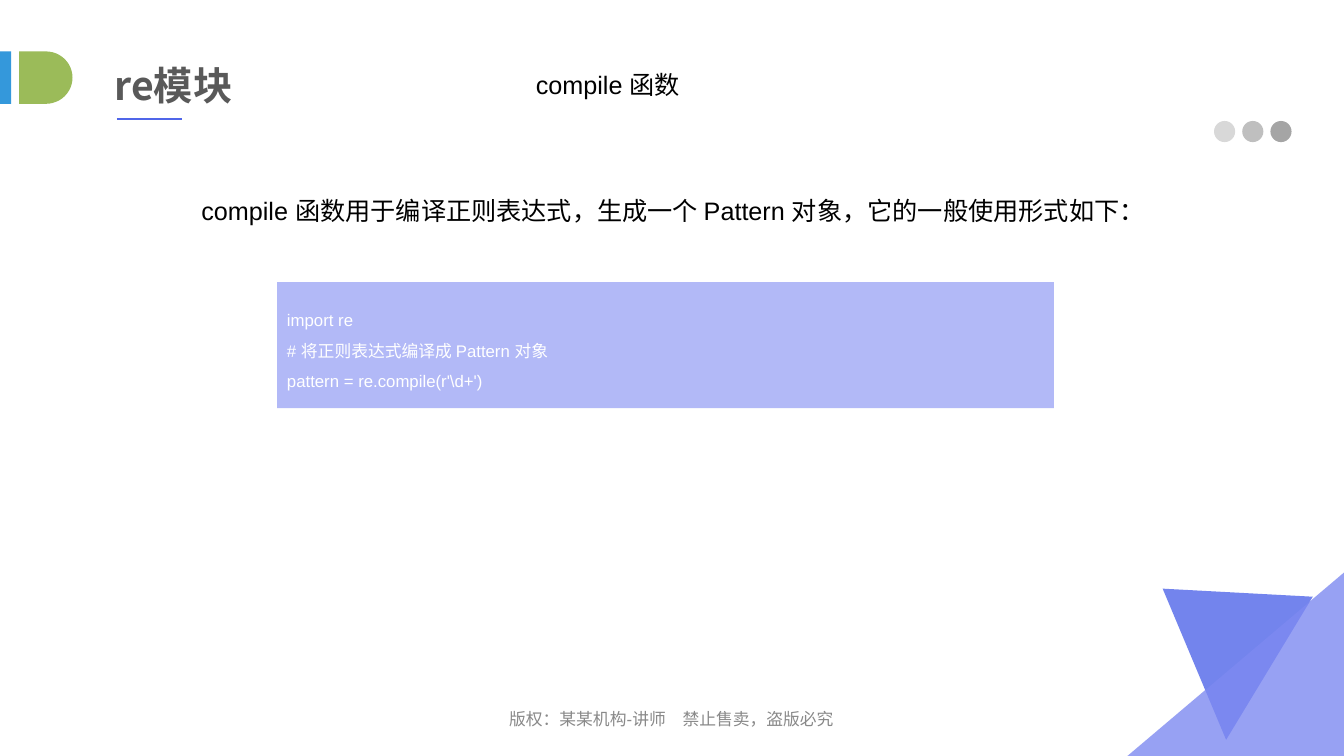
from lxml.etree import SubElement
from pptx import Presentation
from pptx.dml.color import RGBColor
from pptx.enum.shapes import MSO_CONNECTOR, MSO_SHAPE
from pptx.enum.text import MSO_ANCHOR, PP_ALIGN
from pptx.oxml.ns import qn
from pptx.util import Inches, Pt

COLORS = {
    "white": "FFFFFF", "black": "000000", "title": "595959", "footer": "898989",
    "blue": "3498DB", "green": "9BBB59", "accent": "5066E9", "corner": "7E8AF1",
    "code": "B2B9F7", "dot_light": "D8D8D8", "dot_mid": "BFBFBF", "dot_dark": "A5A5A5",
}
CJK_FONT = "Noto Sans CJK SC"

TRIANGLES = [
    ([(13.03, 5.92), (12.17, 7.34), (11.54, 5.84)], "accent"),
    ([(13.34, 7.5), (11.19, 7.5), (13.34, 5.68)], "corner"),
]
TRIANGLE_OPACITY = 80
TITLE_MARKS = [
    (MSO_SHAPE.RECTANGLE, (0, 0.51, 0.11, 0.52), "blue"),
    (MSO_SHAPE.FLOWCHART_DELAY, (0.19, 0.51, 0.53, 0.52), "green"),
]
DOT_COLORS = ["dot_light", "dot_mid", "dot_dark"]
DOT_LEFT, DOT_TOP, DOT_SIZE, DOT_STEP = 12.05, 1.2, 0.21, 0.28
UNDERLINE = (1.16, 1.18, 1.81, 1.18)

TEXTS = [
    {"box": (4.5, 6.94, 4.33, 0.35), "text": "版权：某某机构-讲师　禁止售卖，盗版必究",
     "size": 12, "color": "footer", "spacing": 1.2,
     "align": PP_ALIGN.CENTER, "anchor": MSO_ANCHOR.MIDDLE},
    {"box": (1.04, 0.52, 4.8, 0.64), "text": "re模块", "size": 28, "color": "title",
     "font": CJK_FONT, "bold": True, "anchor": MSO_ANCHOR.MIDDLE},
    {"box": (5.22, 0.64, 2.78, 0.4), "text": "compile 函数", "size": 18, "color": "black"},
    {"box": (1.9, 1.74, 10.84, 0.55), "size": 18, "color": "black", "spacing": 1.5,
     "text": "compile 函数用于编译正则表达式，生成一个 Pattern 对象，它的一般使用形式如下："},
]
CODE_BOX = (2.75, 2.8, 7.71, 1.25)
CODE = "\n".join([
    "import re",
    "# 将正则表达式编译成 Pattern 对象",
    r"pattern = re.compile(r'\d+')",
])


def rgb(name):
    """Return the named colour."""
    return RGBColor.from_string(COLORS[name])


def paint(shape, color):
    """Give a shape a plain fill without line or shadow."""
    shape.shadow.inherit = False
    shape.fill.solid()
    shape.fill.fore_color.rgb = rgb(color)
    shape.line.fill.background()


def add_block(slide, kind, box, color):
    """Add a filled preset shape."""
    shape = slide.shapes.add_shape(kind, *map(Inches, box))
    paint(shape, color)
    return shape


def add_triangle(slide, points, color):
    """Add a translucent triangle."""
    corners = [(Inches(x), Inches(y)) for x, y in points]
    builder = slide.shapes.build_freeform(*corners[0])
    builder.add_line_segments(corners[1:], close=True)
    shape = builder.convert_to_shape()
    paint(shape, color)
    fill_color = next(shape.element.iter(qn("a:srgbClr")))
    SubElement(fill_color, qn("a:alpha")).set("val", str(TRIANGLE_OPACITY * 1000))


def write(shape, text, size, color, font="Arial", bold=False, spacing=1.0,
          align=PP_ALIGN.LEFT, anchor=MSO_ANCHOR.TOP):
    """Write styled paragraphs into a shape."""
    frame = shape.text_frame
    frame.word_wrap = True
    frame.vertical_anchor = anchor
    frame.text = text
    for paragraph in frame.paragraphs:
        paragraph.alignment = align
        paragraph.line_spacing = spacing
        paragraph.font.size = Pt(size)
        paragraph.font.bold = bold
        paragraph.font.color.rgb = rgb(color)
        paragraph.font.name = font
        for properties in paragraph._p.iter(qn("a:defRPr")):
            SubElement(properties, qn("a:ea")).set("typeface", CJK_FONT)


def add_underline(slide):
    """Add the line under the title."""
    line = slide.shapes.add_connector(MSO_CONNECTOR.STRAIGHT, *map(Inches, UNDERLINE))
    line.line.color.rgb = rgb("accent")
    line.line.width = Pt(1.5)
    SubElement(line.element.spPr, qn("a:effectLst"))


def main():
    """Build the slide and save it."""
    presentation = Presentation()
    presentation.slide_width = Inches(13.34)
    presentation.slide_height = Inches(7.5)
    slide = presentation.slides.add_slide(presentation.slide_layouts[6])

    for points, color in TRIANGLES:
        add_triangle(slide, points, color)
    for kind, box, color in TITLE_MARKS:
        add_block(slide, kind, box, color)
    for index, color in enumerate(DOT_COLORS):
        box = (DOT_LEFT + index * DOT_STEP, DOT_TOP, DOT_SIZE, DOT_SIZE)
        add_block(slide, MSO_SHAPE.OVAL, box, color)
    add_underline(slide)

    for item in TEXTS:
        style = {key: value for key, value in item.items() if key != "box"}
        write(slide.shapes.add_textbox(*map(Inches, item["box"])), **style)
    code = add_block(slide, MSO_SHAPE.RECTANGLE, CODE_BOX, "code")
    write(code, CODE, 12, "white", spacing=1.5, anchor=MSO_ANCHOR.MIDDLE)

    presentation.save("out.pptx")


if __name__ == "__main__":
    main()
